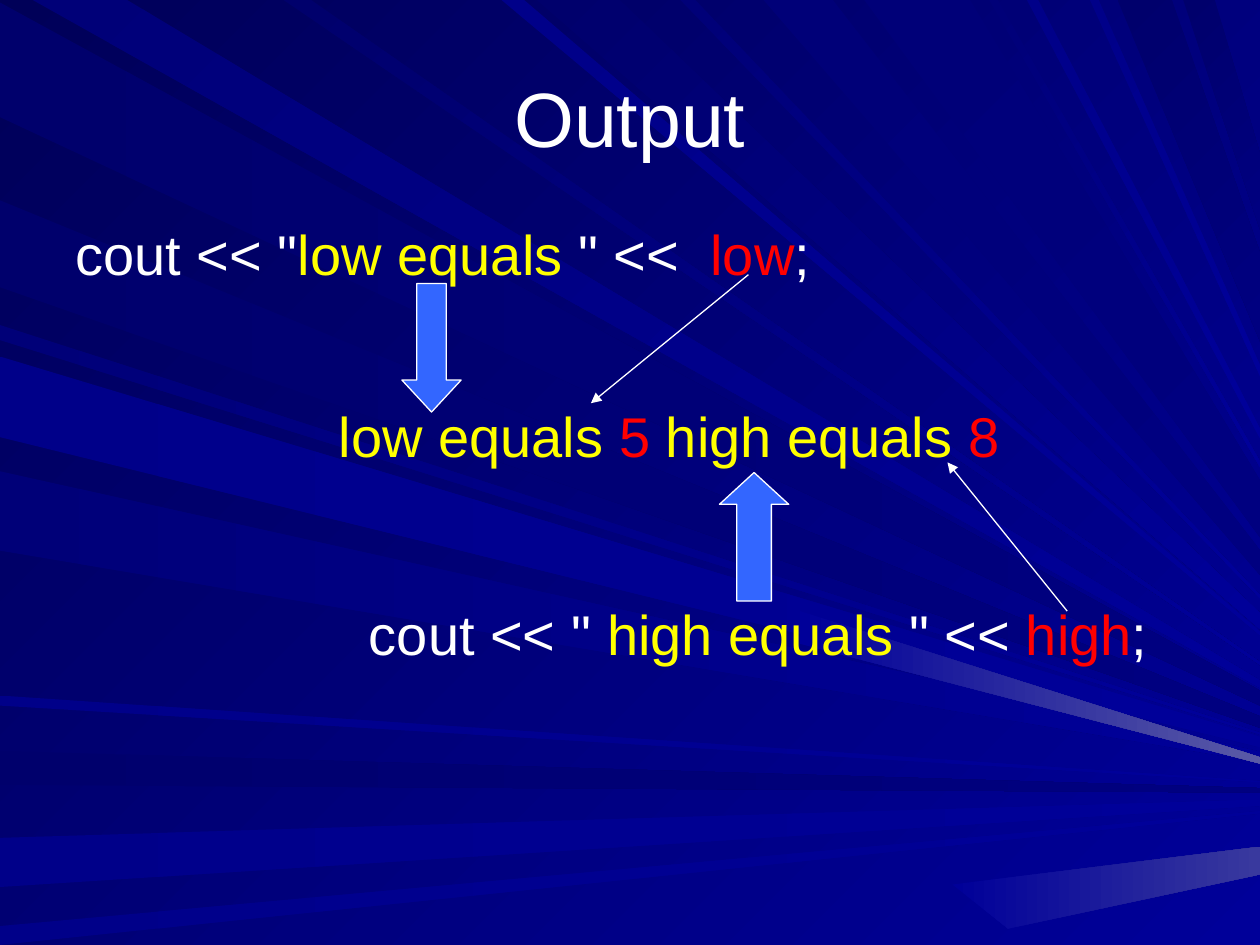
"""Build the Output slide: two cout statements and the text that they print."""
from dataclasses import dataclass

import lxml.etree
import pptx
import pptx.dml.color
import pptx.enum.shapes
import pptx.enum.text
import pptx.oxml
import pptx.oxml.ns
import pptx.util

Inches = pptx.util.Inches
RGBColor = pptx.dml.color.RGBColor
Shape = pptx.enum.shapes.MSO_SHAPE
Anchor = pptx.enum.text.MSO_ANCHOR

WHITE = RGBColor.from_string("FFFFFF")
YELLOW = RGBColor.from_string("FFFF00")
RED = RGBColor.from_string("FF0000")
ARROW_BLUE = RGBColor.from_string("3366FF")
NIGHT = RGBColor.from_string("000058")
DEEP = RGBColor.from_string("00006C")
MIDDLE = RGBColor.from_string("000078")
NAVY = RGBColor.from_string("000080")
SOFT = RGBColor.from_string("000089")
ROYAL = RGBColor.from_string("000099")
DUSK = RGBColor.from_string("39399E")
HAZE = RGBColor.from_string("5A5AA6")
FONT = "Arial"
PAGE_WIDTH, PAGE_HEIGHT = 10, 7.5
FOCUS_X, FOCUS_Y = 11.5, 6.3


@dataclass(frozen=True)
class Ray:
    near: float
    far: float
    start: RGBColor
    end: RGBColor = ROYAL


@dataclass(frozen=True)
class BlockArrow:
    kind: Shape
    left: float
    top: float
    width: float
    head: float


@dataclass(frozen=True)
class Pointer:
    start: tuple
    end: tuple


@dataclass(frozen=True)
class Statement:
    spans: tuple
    indent: float
    space_before: float


LEFT_RAYS = (
    Ray(0.02, 0.93, DEEP, NAVY),
    Ray(5.96, 6.23, DEEP, NAVY),
    Ray(6.65, 7.04, SOFT),
    Ray(7.35, 7.5, SOFT),
    Ray(2.58, 2.7, MIDDLE),
    Ray(1.59, 2.28, DEEP, NAVY),
    Ray(3.74, 4.37, MIDDLE),
    Ray(5.52, 5.6, SOFT),
    Ray(2.83, 3.47, SOFT),
)
TOP_RAYS = (
    Ray(0.26, 1.01, MIDDLE),
    Ray(2.25, 2.47, DEEP),
    Ray(3.98, 4.16, SOFT),
    Ray(4.26, 4.92, DEEP),
    Ray(5.4, 5.52, MIDDLE),
    Ray(6.06, 6.61, MIDDLE, NAVY),
    Ray(6.86, 7.7, MIDDLE, NAVY),
    Ray(7.85, 7.92, MIDDLE),
    Ray(8.15, 8.24, SOFT),
    Ray(8.65, 8.72, SOFT),
    Ray(8.87, 9.3, DEEP, NAVY),
    Ray(9.39, 9.64, DEEP, NAVY),
)
GLINTS = (
    (((6.35, 4.85), (6.35, 5.11), (10, 6.06), (10, 6.01)), HAZE),
    (((7.56, 7.02), (8, 7.37), (10, 6.94), (10, 6.72)), DUSK),
)
STATEMENTS = (
    Statement((("cout << \"", WHITE), ("low equals", YELLOW), (" \" <<  ", WHITE),
               ("low", RED), (";", WHITE)), 0, 0),
    Statement((("low equals ", YELLOW), ("5", RED), (" high equals ", YELLOW),
               ("8", RED)), 2.09, 65.5),
    Statement((("cout << \" ", WHITE), ("high equals", YELLOW), (" \" << ", WHITE),
               ("high", RED), (";", WHITE)), 2.33, 75),
)
BLOCK_ARROWS = (
    BlockArrow(Shape.DOWN_ARROW, 3.19, 2.25, 0.47, 0.54),
    BlockArrow(Shape.UP_ARROW, 5.71, 3.75, 0.55, 0.46),
)
POINTERS = (Pointer((5.94, 2.18), (4.69, 3.2)), Pointer((8.47, 4.85), (7.52, 3.67)))


def fill_gradient(fill, start: RGBColor, end: RGBColor, angle: int) -> None:
    fill.gradient()
    fill.gradient_angle = -angle % 360
    for stop, color in zip(fill.gradient_stops, (start, end)):
        stop.color.rgb = color


def draw_facet(page, points: tuple, start: RGBColor, end: RGBColor, angle: int) -> None:
    corners = [(Inches(x), Inches(y)) for x, y in points]
    builder = page.shapes.build_freeform(*corners[0])
    builder.add_line_segments(corners[1:], close=True)
    shape = builder.convert_to_shape()
    shape.shadow.inherit = False
    shape.line.fill.background()
    fill_gradient(shape.fill, start, end, angle)


def meet_right_edge(x: float, y: float) -> tuple:
    share = (PAGE_WIDTH - x) / (FOCUS_X - x)
    return PAGE_WIDTH, y + (FOCUS_Y - y) * share


def draw_ray(page, ray: Ray, from_top: bool) -> None:
    near, far = [(edge, 0) if from_top else (0, edge) for edge in (ray.near, ray.far)]
    points = (near, far, meet_right_edge(*far), meet_right_edge(*near))
    draw_facet(page, points, ray.start, ray.end, 45 if from_top else 0)


def add_box(page, left: float, top: float, width: float, height: float, anchor=Anchor.TOP):
    box = page.shapes.add_textbox(Inches(left), Inches(top), Inches(width), Inches(height))
    box.text_frame.word_wrap = True
    box.text_frame.vertical_anchor = anchor
    return box.text_frame


def add_span(para, text: str, *, size: float, color: RGBColor) -> None:
    span = para.add_run()
    span.text = text
    span.font.name = FONT
    span.font.size = pptx.util.Pt(size)
    span.font.color.rgb = color


def draw_statements(page) -> None:
    frame = add_box(page, 0.5, 1.69, 9, 4.95)
    for index, statement in enumerate(STATEMENTS):
        para = frame.add_paragraph() if index else frame.paragraphs[0]
        para._p.get_or_add_pPr().set("marL", str(Inches(statement.indent)))
        para.space_before = pptx.util.Pt(statement.space_before)
        for text, color in statement.spans:
            add_span(para, text, size=32, color=color)


def outline(shape) -> None:
    shape.line.color.rgb = WHITE
    shape.line.width = pptx.util.Pt(0.75)


def draw_block_arrow(page, arrow: BlockArrow) -> None:
    shape = page.shapes.add_shape(arrow.kind, Inches(arrow.left), Inches(arrow.top),
                                  Inches(arrow.width), Inches(1.02))
    shape.adjustments[0] = 0.5
    shape.adjustments[1] = arrow.head
    shape.shadow.inherit = False
    shape.fill.solid()
    shape.fill.fore_color.rgb = ARROW_BLUE
    outline(shape)


def draw_pointer(page, pointer: Pointer) -> None:
    ends = [Inches(value) for value in pointer.start + pointer.end]
    line = page.shapes.add_connector(pptx.enum.shapes.MSO_CONNECTOR.STRAIGHT, *ends)
    outline(line)
    qualify = pptx.oxml.ns.qn
    lxml.etree.SubElement(line.line._get_or_add_ln(), qualify("a:tailEnd"), type="triangle")
    lxml.etree.SubElement(line._element.spPr, qualify("a:effectLst"))


def main() -> None:
    deck = pptx.Presentation()
    deck.slide_width, deck.slide_height = Inches(PAGE_WIDTH), Inches(PAGE_HEIGHT)
    page = deck.slides.add_slide(deck.slide_layouts[6])
    fill_gradient(page.background.fill, NIGHT, ROYAL, 45)
    for rays, from_top in ((LEFT_RAYS, False), (TOP_RAYS, True)):
        for ray in rays:
            draw_ray(page, ray, from_top)
    for points, glow in GLINTS:
        draw_facet(page, points, ROYAL, glow, 0)
    title = add_box(page, 0.5, 0.3, 9, 1.25, Anchor.MIDDLE).paragraphs[0]
    title.alignment = pptx.enum.text.PP_ALIGN.CENTER
    add_span(title, "Output", size=44, color=WHITE)
    draw_statements(page)
    for arrow in BLOCK_ARROWS:
        draw_block_arrow(page, arrow)
    for pointer in POINTERS:
        draw_pointer(page, pointer)
    deck.save("out.pptx")


if __name__ == "__main__":
    main()
